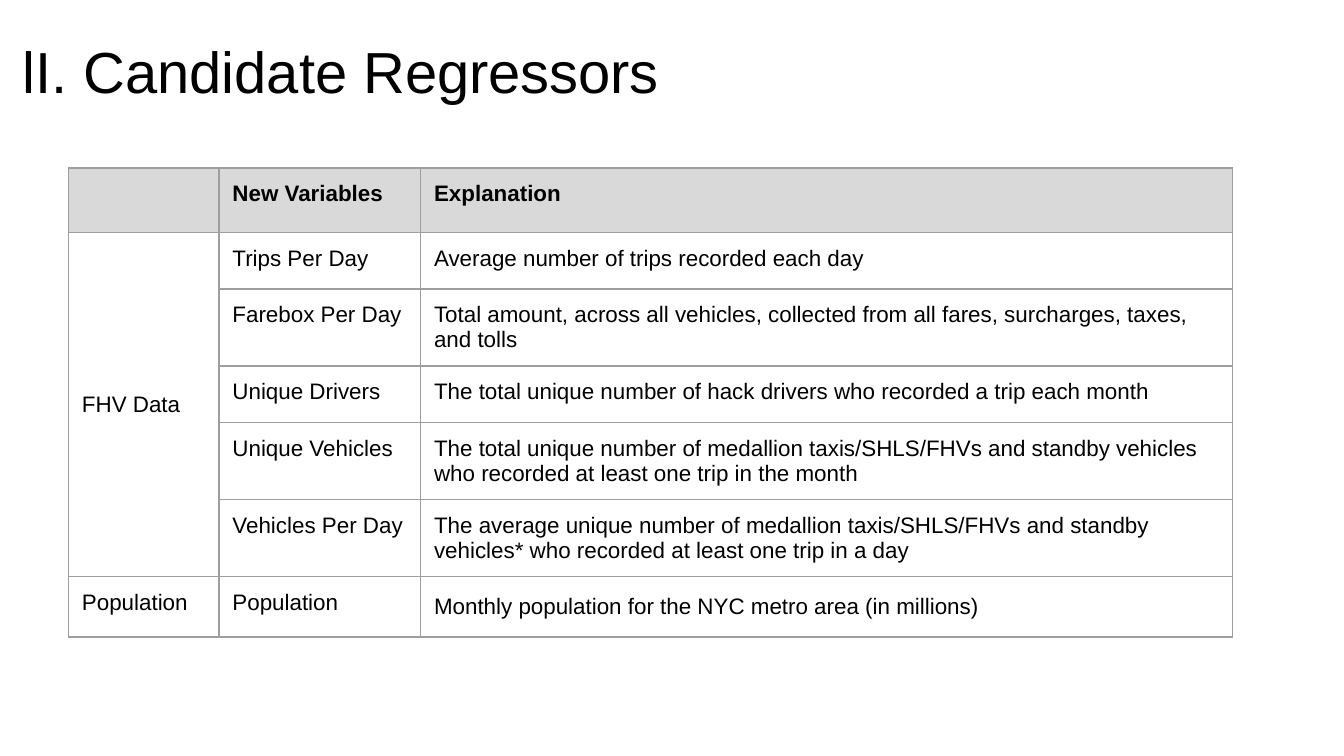
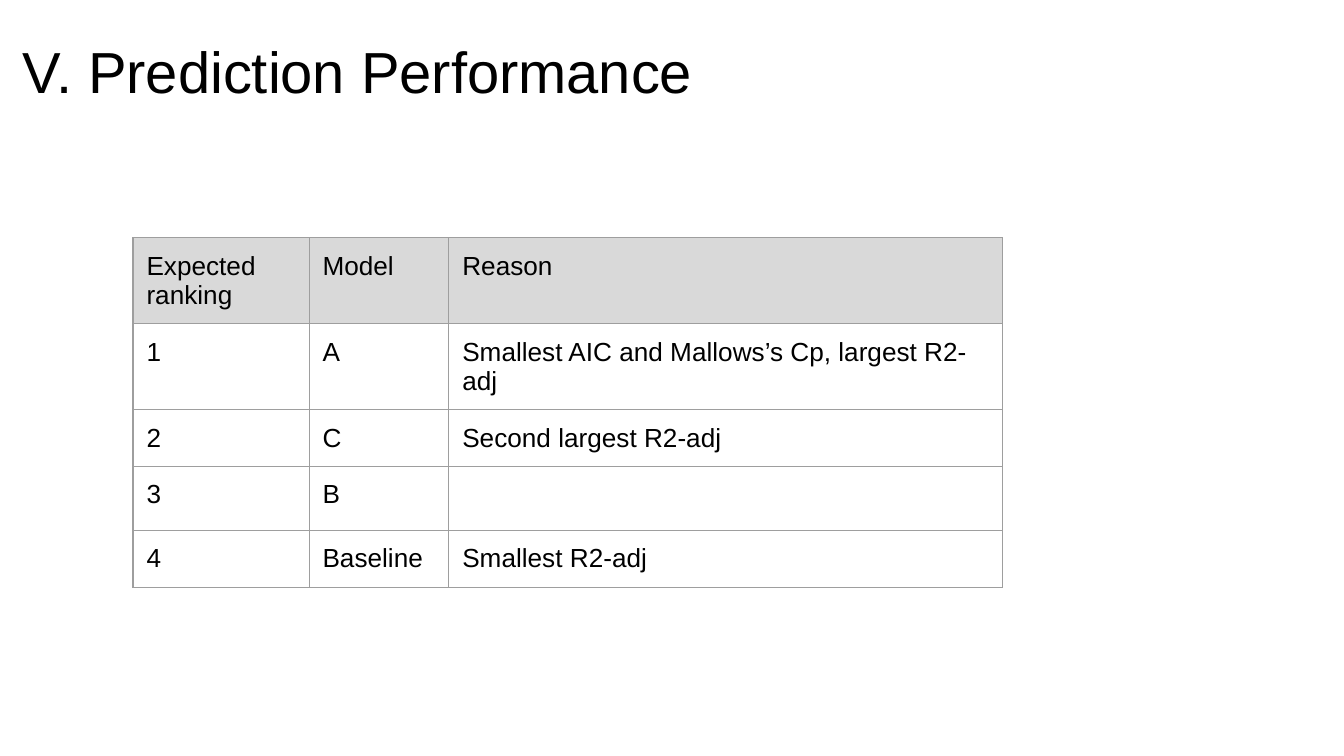
from dataclasses import dataclass

from lxml import etree
from pptx import Presentation
from pptx.dml.color import RGBColor
from pptx.enum.text import MSO_ANCHOR, MSO_AUTO_SIZE, PP_ALIGN
from pptx.oxml.ns import qn
from pptx.slide import Slide
from pptx.table import _Cell
from pptx.util import Inches, Pt

# Shared style
BLACK = RGBColor(0x00, 0x00, 0x00)
HEADER_GRAY = RGBColor(0xD9, 0xD9, 0xD9)
BORDER_GRAY = RGBColor(0x9E, 0x9E, 0x9E)
FONT_NAME = "Arial"
TITLE_SIZE = Pt(31)
BORDER_WIDTH = Pt(0.75)
CELL_MARGIN = Inches(0.1)
SLIDE_WIDTH = Inches(10)
SLIDE_HEIGHT = SLIDE_WIDTH * 9 // 16
TITLE_ONLY_LAYOUT = 5
LEFT = PP_ALIGN.LEFT
TOP = MSO_ANCHOR.TOP
MIDDLE = MSO_ANCHOR.MIDDLE
BOTTOM = MSO_ANCHOR.BOTTOM
NO_AUTOFIT = MSO_AUTO_SIZE.NONE


@dataclass(frozen=True)
class TableSlide:
    title: str
    left: float
    top: float
    column_widths: tuple[float, ...]
    row_heights: tuple[float, ...]
    rows: tuple[tuple[str, ...], ...]
    text_size: int
    bold_header: bool = False
    group_rows: tuple[int, int] | None = None  # first and last row merged in column 0
    loose_cell: tuple[int, int] | None = None  # cell with wider line spacing


# Slide content
REGRESSORS = TableSlide(
    title="lI. Candidate Regressors",
    left=0.51,
    top=1.25,
    column_widths=(1.12, 1.5, 6.04),
    row_heights=(0.48, 0.42, 0.57, 0.42, 0.57, 0.57, 0.45),
    rows=(
        ("", "New Variables", "Explanation"),
        ("FHV Data", "Trips Per Day", "Average number of trips recorded each day"),
        ("", "Farebox Per Day",
         "Total amount, across all vehicles, collected from all fares, "
         "surcharges, taxes, and tolls"),
        ("", "Unique Drivers",
         "The total unique number of hack drivers who recorded a trip each month"),
        ("", "Unique Vehicles",
         "The total unique number of medallion taxis/SHLS/FHVs and standby "
         "vehicles who recorded at least one trip in the month"),
        ("", "Vehicles Per Day",
         "The average unique number of medallion taxis/SHLS/FHVs and standby "
         "vehicles* who recorded at least one trip in a day"),
        ("Population", "Population",
         "Monthly population for the NYC metro area (in millions)"),
    ),
    text_size=12,
    bold_header=True,
    group_rows=(1, 5),
    loose_cell=(6, 2),
)

PERFORMANCE = TableSlide(
    title="V. Prediction Performance",
    left=0.99,
    top=1.77,
    column_widths=(1.31, 1.04, 4.12),
    row_heights=(0.64, 0.64, 0.42, 0.48, 0.42),
    rows=(
        ("Expected ranking", "Model", "Reason"),
        ("1", "A", "Smallest AIC and Mallows’s Cp, largest R2-adj"),
        ("2", "C", "Second largest R2-adj"),
        ("3", "B", ""),
        ("4", "Baseline", "Smallest R2-adj"),
    ),
    text_size=14,
)


def format_title(slide: Slide, text: str) -> None:
    title = slide.shapes.title
    title.left, title.top = Inches(0.1), Inches(0.23)
    title.width, title.height = Inches(5.27), Inches(0.88)
    frame = title.text_frame
    frame.text = text
    frame.word_wrap = True
    frame.auto_size = NO_AUTOFIT
    frame.vertical_anchor = BOTTOM
    frame.margin_left = frame.margin_right = Inches(0.07)
    frame.margin_top, frame.margin_bottom = Inches(0.04), Inches(0.32)
    paragraph = frame.paragraphs[0]
    paragraph.alignment = LEFT
    paragraph.line_spacing = 0.9
    font = paragraph.runs[0].font
    font.name, font.size = FONT_NAME, TITLE_SIZE
    font.color.rgb = BLACK


def add_borders(cell: _Cell) -> None:
    properties = cell._tc.get_or_add_tcPr()
    for side in ("a:lnL", "a:lnR", "a:lnT", "a:lnB"):
        line = etree.SubElement(properties, qn(side), w=str(BORDER_WIDTH))
        fill = etree.SubElement(line, qn("a:solidFill"))
        etree.SubElement(fill, qn("a:srgbClr"), val=str(BORDER_GRAY))


def format_cell(cell: _Cell, text: str, size: int, header: bool, bold: bool) -> None:
    cell.vertical_anchor = TOP
    add_borders(cell)
    if header:
        cell.fill.solid()
        cell.fill.fore_color.rgb = HEADER_GRAY
    else:
        cell.fill.background()
    if not text:
        return
    cell.margin_left = cell.margin_right = CELL_MARGIN
    cell.margin_top = cell.margin_bottom = CELL_MARGIN
    cell.text_frame.text = text
    font = cell.text_frame.paragraphs[0].runs[0].font
    font.name, font.size, font.bold = FONT_NAME, Pt(size), bold
    font.color.rgb = BLACK


def add_data_table(slide: Slide, content: TableSlide) -> None:
    table = slide.shapes.add_table(
        len(content.rows), len(content.column_widths),
        Inches(content.left), Inches(content.top),
        Inches(sum(content.column_widths)), Inches(sum(content.row_heights)),
    ).table
    table.first_row = table.horz_banding = False
    for column, width in zip(table.columns, content.column_widths):
        column.width = Inches(width)
    for row, height in zip(table.rows, content.row_heights):
        row.height = Inches(height)

    for row_index, texts in enumerate(content.rows):
        header = row_index == 0
        for column_index, text in enumerate(texts):
            format_cell(table.cell(row_index, column_index), text,
                        content.text_size, header, header and content.bold_header)

    if content.group_rows:
        first, last = content.group_rows
        group = table.cell(first, 0)
        group.merge(table.cell(last, 0))
        group.vertical_anchor = MIDDLE
    if content.loose_cell:
        loose = table.cell(*content.loose_cell)
        loose.text_frame.paragraphs[0].line_spacing = 1.15


def main() -> None:
    presentation = Presentation()
    presentation.slide_width = SLIDE_WIDTH
    presentation.slide_height = SLIDE_HEIGHT
    layout = presentation.slide_layouts[TITLE_ONLY_LAYOUT]
    for content in (REGRESSORS, PERFORMANCE):
        slide = presentation.slides.add_slide(layout)
        format_title(slide, content.title)
        add_data_table(slide, content)
    presentation.save("out.pptx")


if __name__ == "__main__":
    main()
